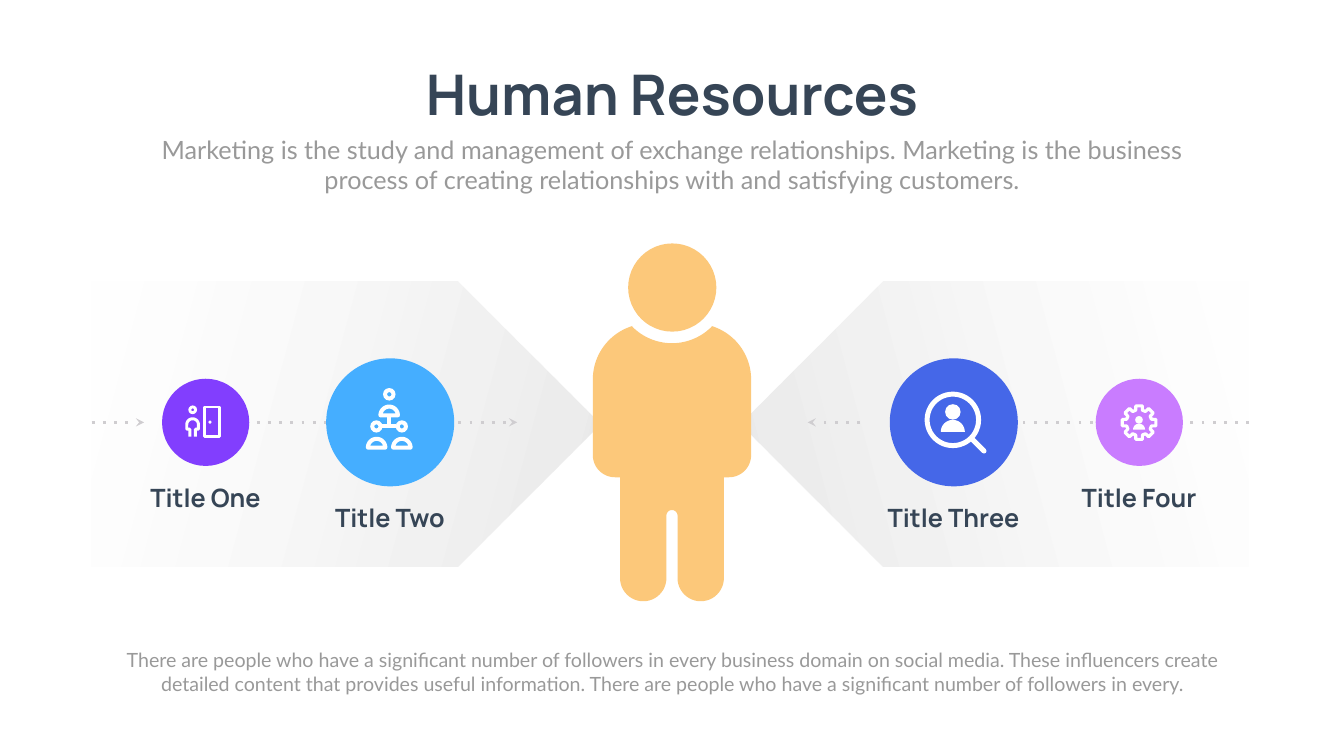
from dataclasses import dataclass
from math import cos, radians, sin

from lxml.etree import SubElement
from pptx import Presentation
from pptx.dml.color import RGBColor
from pptx.enum.shapes import MSO_CONNECTOR, MSO_SHAPE
from pptx.enum.text import MSO_AUTO_SIZE, PP_ALIGN
from pptx.oxml.ns import qn
from pptx.util import Inches, Pt

WIDTH, HEIGHT = 26.66, 15
INK, GREY, WHITE, SKIN, DOTS = "364556", "999999", "FFFFFF", "FCC87A", "CFCDD0"


@dataclass
class Grid:
    x: float
    y: float
    cell: float = 1

    def at(self, col, row):
        return Inches(self.x + col * self.cell), Inches(self.y + row * self.cell)

    def size(self, n):
        return Inches(n * self.cell)


def rgb(value):
    return RGBColor.from_string(value)


def arc(cx, cy, r, start, end, steps=24):
    angles = [radians(start + (end - start) * i / steps) for i in range(steps + 1)]
    return [(cx + r * cos(a), cy + r * sin(a)) for a in angles]


def paint(sp, grid, fill=None, stroke=None):
    sp.shadow.inherit = False
    if fill:
        sp.fill.solid()
        sp.fill.fore_color.rgb = rgb(fill)
    else:
        sp.fill.background()
    if stroke:
        sp.line.color.rgb = rgb(WHITE)
        sp.line.width = grid.size(stroke)
    else:
        sp.line.fill.background()
    return sp


def add_preset(s, grid, kind, col, row, w, h, fill=None, stroke=None):
    sp = s.shapes.add_shape(kind, *grid.at(col, row), grid.size(w), grid.size(h))
    return paint(sp, grid, fill, stroke)


def add_disc(s, grid, col, row, d, fill=WHITE):
    return add_preset(s, grid, MSO_SHAPE.OVAL, col, row, d, d, fill)


def add_ring(s, grid, col, row, d, thick):
    sp = add_preset(s, grid, MSO_SHAPE.DONUT, col, row, d, d, WHITE)
    sp.adjustments[0] = thick / d


def add_outline(s, grid, points, close=True, fill=None, stroke=None):
    spots = [grid.at(*p) for p in points]
    builder = s.shapes.build_freeform(*spots[0], scale=1.0)
    builder.add_line_segments(spots[1:], close=close)
    return paint(builder.convert_to_shape(), grid, fill, stroke)


def add_dome(s, grid, cx, base, r, fill=None, stroke=None):
    add_outline(s, grid, arc(cx, base, r, 180, 360), True, fill, stroke)


def add_line(s, grid, start, end, color, width):
    cn = s.shapes.add_connector(MSO_CONNECTOR.STRAIGHT, *grid.at(*start), *grid.at(*end))
    cn.line.color.rgb = rgb(color)
    cn.line.width = width
    SubElement(cn._element.spPr, qn("a:effectLst"))
    return cn._element.spPr.find(qn("a:ln"))


def add_arrow(s, grid, start, end):
    ln = add_line(s, grid, start, end, DOTS, Pt(4))
    SubElement(ln, qn("a:prstDash"), val="dot")
    SubElement(ln, qn("a:tailEnd"), type="stealth")


def add_text(s, x, y, w, h, text, size, font, color, bold=False):
    tb = s.shapes.add_textbox(Inches(x), Inches(y), Inches(w), Inches(h))
    tf = tb.text_frame
    tf.word_wrap = True
    tf.auto_size = MSO_AUTO_SIZE.SHAPE_TO_FIT_TEXT
    p = tf.paragraphs[0]
    p.alignment = PP_ALIGN.CENTER
    r = p.add_run()
    r.text = text
    r.font.size = Pt(size)
    r.font.name = font
    r.font.bold = bold
    r.font.color.rgb = rgb(color)


def header(s, x, y, w):
    add_text(s, x + (w - 10.72) / 2, y, 10.72, 1.45, "Human Resources", 80, "Manrope", INK, True)
    add_text(s, x, y + 1.47, w, 1.31,
             "Marketing is the study and management of exchange relationships. "
             "Marketing is the business process of creating relationships with "
             "and satisfying customers.", 36, "Lato", GREY)


def footer(s, x, y, w):
    add_text(s, x, y, w, 1.04,
             "There are people who have a significant number of followers in every "
             "business domain on social media. These influencers create detailed "
             "content that provides useful information. There are people who have a "
             "significant number of followers in every.", 28, "Lato", GREY)


def banner(s, x, y, w, h, mirrored=False):
    sp = add_preset(s, Grid(x, y), MSO_SHAPE.PENTAGON, 0, 0, w, h, WHITE)
    sp.adjustments[0] = 0.5
    sp.fill.gradient()
    sp.fill.gradient_angle = 345
    for stop, place, color in zip(sp.fill.gradient_stops, (0, 1), (WHITE, "EAEAEA")):
        stop.position = place
        stop.color.rgb = rgb(color)
    first = sp._element.spPr.find(".//" + qn("a:srgbClr"))
    SubElement(first, qn("a:alpha"), val="50000")
    if mirrored:
        sp._element.spPr.find(qn("a:xfrm")).set("flipH", "1")


def arrows(s, x, y):
    grid = Grid(x, y)
    for start, end in ((0, 1.04), (2.61, 8.44), (22.96, 17.13), (15.24, 14.2)):
        add_arrow(s, grid, (start, 0), (end, 0))


def person(s, x, y):
    grid = Grid(x, y)
    mid = 1.57
    half = (arc(mid, 0.87, 1.11, 90, 136)
            + arc(1.11, 2.7, 1.11, 253, 180)
            + arc(0.44, 4.2, 0.44, 180, 90)
            + [(0.54, 4.64)]
            + arc(1, 6.64, 0.46, 180, 0)
            + arc(mid, 5.4, 0.11, 180, 270))
    other = [(2 * mid - px, py) for px, py in reversed(half)]
    add_outline(s, grid, half + other, fill=SKIN)
    add_disc(s, grid, 0.7, 0, 1.75, SKIN)


def org_icon(s, grid):
    stroke = 3.2
    add_ring(s, grid, 44.4, 23.2, 9.8, stroke)
    for cx, base in ((49.2, 44.5), (39.4, 69.7), (59.1, 69.7)):
        add_dome(s, grid, cx, base, 6.8, stroke=stroke)
    for col in (34.4, 54.3):
        add_ring(s, grid, col, 48.4, 9.6, stroke)
    add_line(s, grid, (49.2, 44.5), (49.2, 53.1), WHITE, grid.size(stroke))
    add_line(s, grid, (43.7, 53.1), (54.7, 53.1), WHITE, grid.size(stroke))


def door_icon(s, grid):
    stroke = 3.4
    add_ring(s, grid, 30.1, 30.6, 10, stroke)
    body = ([(31.8, 66.5), (31.8, 57.8), (28.3, 57.8)]
            + arc(35, 52.6, 6.7, 180, 360)
            + [(41.7, 57.8), (38.2, 57.8), (38.2, 66.5)])
    add_outline(s, grid, body, close=False, stroke=stroke)
    add_preset(s, grid, MSO_SHAPE.RECTANGLE, 48.6, 32.4, 17.3, 34.1, stroke=stroke)
    add_disc(s, grid, 53.2, 48, 3.5)


def search_icon(s, grid):
    add_disc(s, grid, 43.2, 35.8, 12.1)
    add_dome(s, grid, 49.2, 57.5, 9.4, WHITE)
    add_ring(s, grid, 27.2, 26, 44.1, 3.9)
    ln = add_line(s, grid, (64.6, 63.4), (73.6, 72.4), WHITE, grid.size(3.9))
    ln.set("cap", "rnd")


def gear_icon(s, grid):
    cx, cy = 49.7, 50.3
    teeth = [arc(cx, cy, r, 45 * k + a, 45 * k + a, 1)[0]
             for k in range(8) for r, a in ((14.7, -15), (19.6, -11), (19.6, 11), (14.7, 15))]
    add_outline(s, grid, teeth, stroke=3.6)
    add_disc(s, grid, 45.3, 42.8, 8.7)
    add_dome(s, grid, cx, 58.4, 6.9, WHITE)


def topic(s, cx, cy, d, color, icon, title):
    left, top = cx - d / 2, cy - d / 2
    add_disc(s, Grid(left, top), 0, 0, d, color)
    icon(s, Grid(left, top, d / 100))
    add_text(s, cx - 1.49, cy + d / 2 + 0.27, 2.97, 0.71, title, 36, "Manrope", INK, True)


def main():
    prs = Presentation()
    prs.slide_width, prs.slide_height = Inches(WIDTH), Inches(HEIGHT)
    s = prs.slides.add_slide(prs.slide_layouts[6])
    axis = 8.38
    header(s, 2.92, 1.14, 20.82)
    banner(s, 1.82, 5.58, 10.09, 5.66)
    banner(s, 14.68, 5.58, 10.09, 5.66, mirrored=True)
    arrows(s, 1.82, axis)
    person(s, 11.76, 4.83)
    for cx, d, color, icon, title in (
        (4.08, 1.73, "823EFE", door_icon, "Title One"),
        (7.74, 2.54, "45AEFF", org_icon, "Title Two"),
        (18.92, 2.54, "4567E8", search_icon, "Title Three"),
        (22.6, 1.73, "C97CFF", gear_icon, "Title Four"),
    ):
        topic(s, cx, axis, d, color, icon, title)
    footer(s, 1.88, 12.81, 22.91)
    prs.save("out.pptx")


if __name__ == "__main__":
    main()
